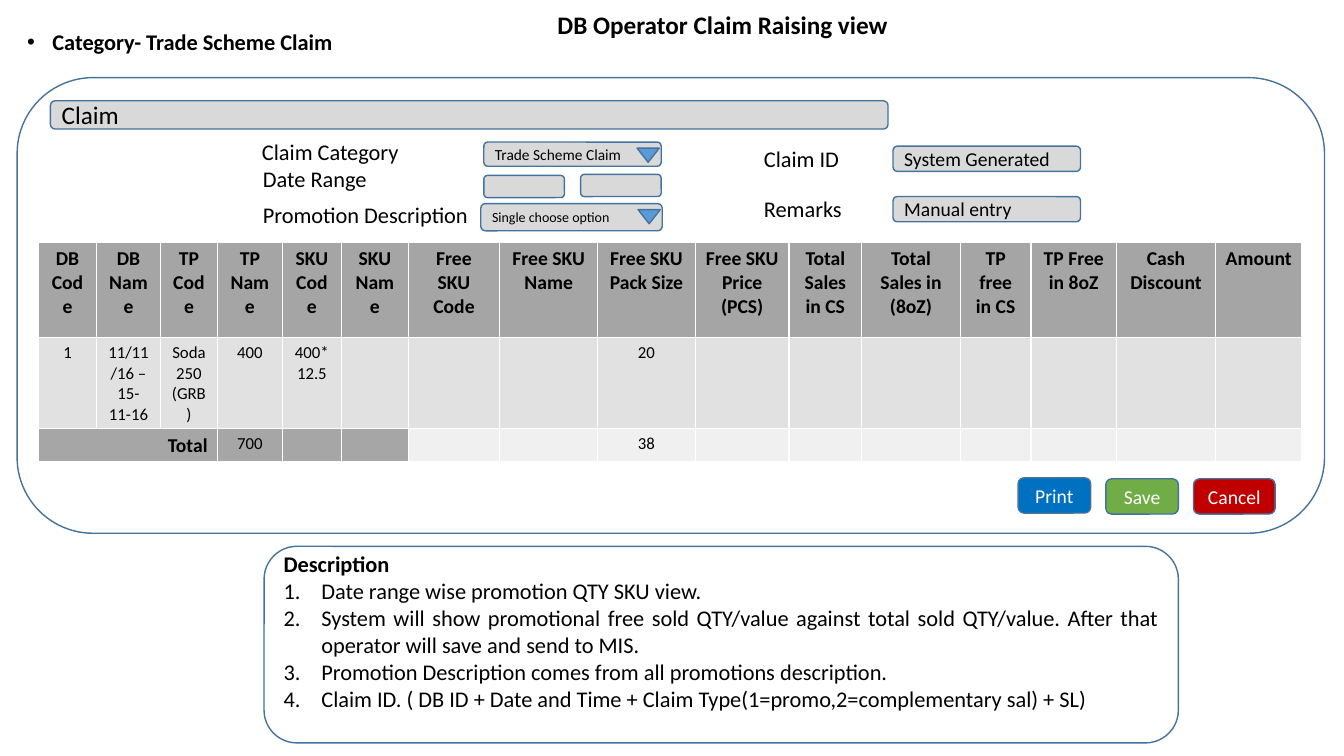
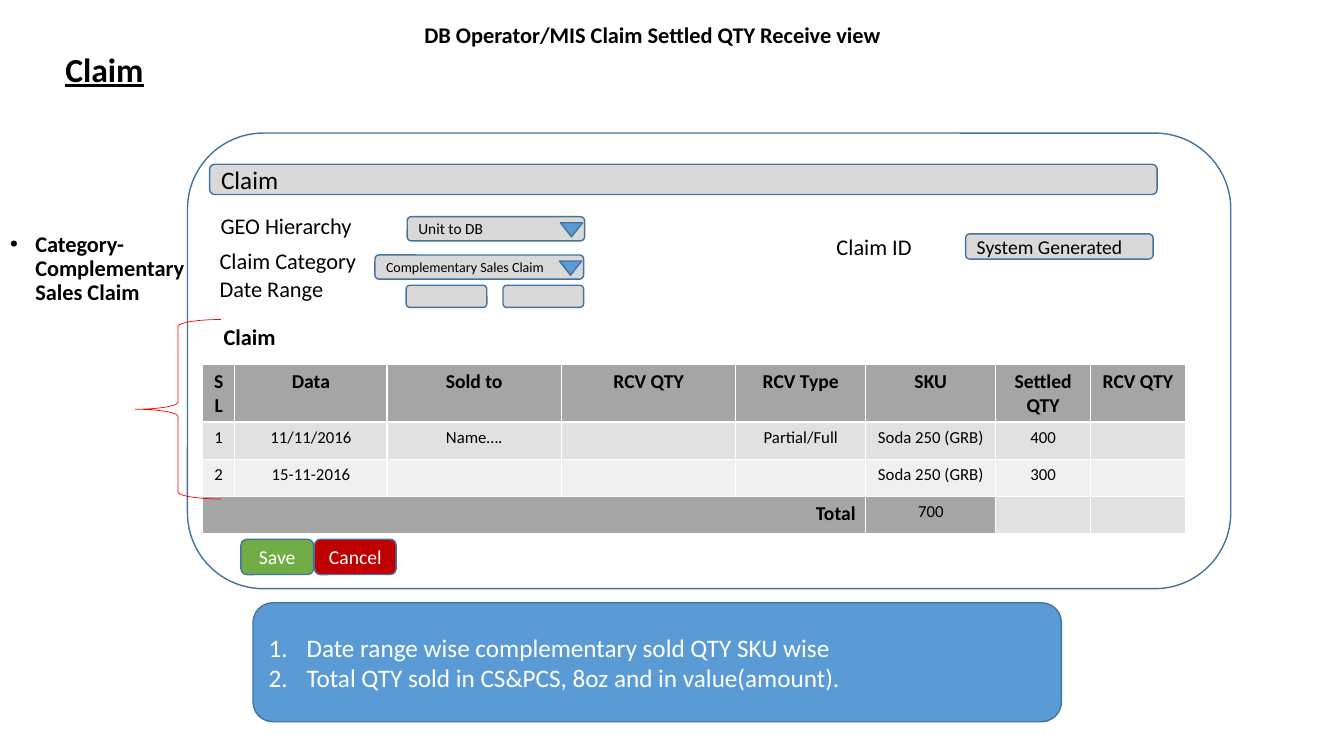
from dataclasses import dataclass
from typing import NamedTuple, Optional

from lxml.etree import SubElement
from pptx import Presentation
from pptx.dml.color import RGBColor
from pptx.enum.shapes import MSO_SHAPE
from pptx.enum.text import MSO_ANCHOR, MSO_AUTO_SIZE, PP_ALIGN
from pptx.oxml.ns import qn
from pptx.util import Emu, Inches, Pt

COLORS = {
    "outline": "43739E", "accent": "5B9BD5", "field": "D9D9D9", "brace": "FF0000",
    "header": "A5A5A5", "total": "A6A6A6", "dark_band": "E1E1E1", "light_band": "F0F0F0",
    "black": "000000", "white": "FFFFFF",
    "Print": "0070C0", "Save": "70AD47", "Cancel": "C00000",
}
FONT = "Calibri"
GRID = Inches(0.1)
COLUMNS, ROWS = 133.33, 75
LINE_SPACING = 0.9
BULLET_INDENT, NUMBER_INDENT = 2.5, 3.75
ARROW_WIDTH, ARROW_HEIGHT = 2.2, 1.4
ARROW_INSET, ARROW_DROP = 2.4, 0.6


class Box(NamedTuple):
    left: float
    top: float
    width: float
    height: float


@dataclass
class Label:
    text: str
    left: float
    top: float
    size: int = 16
    bold: bool = False
    underline: bool = False


@dataclass
class Field:
    text: str
    box: Box
    size: int = 14
    dropdown: bool = False


@dataclass
class Button:
    text: str
    box: Box


@dataclass
class Grid:
    left: float
    top: float
    columns: list[float]
    rows: list[float]
    cells: list[list[str]]
    total_span: int
    total_shaded: int


@dataclass
class Note:
    box: Box
    fill: str
    color: str
    size: int
    items: list[str]
    heading: Optional[str] = None
    bottom_margin: float = 0.5


@dataclass
class Screen:
    title: str
    title_box: Box
    title_size: int
    category: str
    category_box: Box
    panel: Box
    labels: list[Label]
    fields: list[Field]
    buttons: list[Button]
    grid: Grid
    note: Note
    brace: Optional[Box] = None


def units(*lengths: float) -> list[Emu]:
    return [Emu(round(length * GRID)) for length in lengths]


def rgb(name: str) -> RGBColor:
    return RGBColor.from_string(COLORS[name])


def style(paragraph, size: int, color: str = "black", bold: bool = False,
          underline: bool = False, align=PP_ALIGN.LEFT) -> None:
    paragraph.alignment = align
    for run in paragraph.runs:
        font = run.font
        font.name, font.size, font.bold, font.underline = FONT, Pt(size), bold, underline
        font.color.rgb = rgb(color)


def add_marker(paragraph, tag: str, indent: float, **attributes: str) -> None:
    properties = paragraph._p.get_or_add_pPr()
    width = units(indent)[0]
    properties.set("marL", str(width))
    properties.set("indent", str(-width))
    SubElement(properties, qn(tag), **attributes)


def add_box(slide, kind, box: Box, fill: Optional[str] = None,
            line: str = "outline", line_width: float = 1):
    shape = slide.shapes.add_shape(kind, *units(*box))
    shape.shadow.inherit = False
    if fill:
        shape.fill.solid()
        shape.fill.fore_color.rgb = rgb(fill)
    else:
        shape.fill.background()
    shape.line.color.rgb = rgb(line)
    shape.line.width = Pt(line_width)
    shape.text_frame.vertical_anchor = MSO_ANCHOR.MIDDLE
    return shape


def fill_placeholder(placeholder, text: str, box: Box, size: int):
    placeholder.left, placeholder.top, placeholder.width, placeholder.height = units(*box)
    frame = placeholder.text_frame
    frame.text = text
    frame.word_wrap = True
    frame.auto_size = MSO_AUTO_SIZE.NONE
    frame.vertical_anchor = MSO_ANCHOR.TOP
    paragraph = frame.paragraphs[0]
    paragraph.line_spacing = LINE_SPACING
    paragraph.space_before = Pt(0)
    style(paragraph, size, bold=True)
    return paragraph


def add_label(slide, label: Label) -> None:
    text_box = slide.shapes.add_textbox(*units(label.left, label.top, 24.2, 2.8))
    frame = text_box.text_frame
    frame.word_wrap = True
    frame.text = label.text
    frame.paragraphs[0].line_spacing = LINE_SPACING
    style(frame.paragraphs[0], label.size, bold=label.bold, underline=label.underline)


def add_field(slide, field: Field) -> None:
    shape = add_box(slide, MSO_SHAPE.ROUNDED_RECTANGLE, field.box, "field")
    if field.text:
        shape.text_frame.text = field.text
        style(shape.text_frame.paragraphs[0], field.size)
    if field.dropdown:
        left = field.box.left + field.box.width - ARROW_INSET
        arrow = Box(left, field.box.top + ARROW_DROP, ARROW_WIDTH, ARROW_HEIGHT)
        add_box(slide, MSO_SHAPE.FLOWCHART_MERGE, arrow, "accent")


def add_button(slide, button: Button) -> None:
    shape = add_box(slide, MSO_SHAPE.ROUNDED_RECTANGLE, button.box, button.text)
    shape.text_frame.text = button.text
    style(shape.text_frame.paragraphs[0], 14, "white", align=PP_ALIGN.CENTER)


def cell_fill(grid: Grid, row: int, column: int) -> str:
    if row == 0:
        return "header"
    if row == len(grid.rows) - 1 and column < grid.total_shaded:
        return "total"
    return "dark_band" if row % 2 else "light_band"


def add_grid(slide, grid: Grid) -> None:
    size = units(grid.left, grid.top, sum(grid.columns), sum(grid.rows))
    table = slide.shapes.add_table(len(grid.rows), len(grid.columns), *size).table
    for column, width in zip(table.columns, units(*grid.columns)):
        column.width = width
    for row, height in zip(table.rows, units(*grid.rows)):
        row.height = height
    last = len(grid.rows) - 1
    table.cell(last, 0).merge(table.cell(last, grid.total_span - 1))
    for row, texts in enumerate(grid.cells):
        for column, text in enumerate(texts):
            cell = table.cell(row, column)
            cell.fill.solid()
            cell.fill.fore_color.rgb = rgb(cell_fill(grid, row, column))
            paragraph = cell.text_frame.paragraphs[0]
            if not text:
                SubElement(paragraph._p, qn("a:endParaRPr"), sz="1200")
                continue
            paragraph.text = text
            strong = row == 0 or text == "Total"
            align = PP_ALIGN.RIGHT if text == "Total" else PP_ALIGN.CENTER
            style(paragraph, 14 if strong else 12, bold=strong, align=align)


def add_note(slide, note: Note) -> None:
    shape = add_box(slide, MSO_SHAPE.ROUNDED_RECTANGLE, note.box, note.fill)
    frame = shape.text_frame
    frame.margin_bottom = units(note.bottom_margin)[0]
    frame.text = "\n".join(([note.heading] if note.heading else []) + note.items)
    for paragraph in frame.paragraphs:
        if paragraph.text == note.heading:
            style(paragraph, note.size, note.color, bold=True)
        else:
            align = PP_ALIGN.JUSTIFY if note.heading else PP_ALIGN.LEFT
            style(paragraph, note.size, note.color, align=align)
            add_marker(paragraph, "a:buAutoNum", NUMBER_INDENT, type="arabicPeriod")


def add_screen(presentation, screen: Screen) -> None:
    slide = presentation.slides.add_slide(presentation.slide_layouts[1])
    title, body = slide.placeholders
    fill_placeholder(title, screen.title, screen.title_box, screen.title_size)
    category = fill_placeholder(body, screen.category, screen.category_box, 16)
    add_marker(category, "a:buChar", BULLET_INDENT, char="•")
    add_box(slide, MSO_SHAPE.ROUNDED_RECTANGLE, screen.panel)
    for label in screen.labels:
        add_label(slide, label)
    for field in screen.fields:
        add_field(slide, field)
    add_grid(slide, screen.grid)
    for button in screen.buttons:
        add_button(slide, button)
    if screen.brace:
        add_box(slide, MSO_SHAPE.LEFT_BRACE, screen.brace, line="brace", line_width=0.5)
    add_note(slide, screen.note)


RAISING = Screen(
    "DB Operator Claim Raising view", Box(54.3, 0.8, 37, 7), 18,
    "Category- Trade Scheme Claim", Box(1.7, 2.6, 36.2, 3.8),
    Box(1.7, 7.7, 129.7, 45.2),
    [Label("Claim Category", 25, 13.5), Label("Date Range", 25.1, 16.2),
     Label("Promotion Description", 25.1, 19.8),
     Label("Claim ID", 74.8, 14.2), Label("Remarks", 74.8, 19.2)],
    [Field("Claim", Box(5, 10, 83.1, 2.8), 18),
     Field("Trade Scheme Claim", Box(48, 14.1, 17.6, 2.4), 11, True),
     Field("", Box(48, 17.4, 8, 2.2)), Field("", Box(57.6, 17.3, 8, 2.2)),
     Field("Single choose option", Box(47.7, 20.2, 18, 2.7), 10, True),
     Field("System Generated", Box(88.6, 14.5, 18.6, 2.5)),
     Field("Manual entry", Box(88.6, 19.5, 18.6, 2.5))],
    [Button("Print", Box(101, 47.4, 7.2, 3.5)), Button("Save", Box(109.7, 47.5, 7.2, 3.5)),
     Button("Cancel", Box(118.4, 47.5, 8.1, 3.5))],
    Grid(3.8, 24,
         [5.8, 6.3, 5.7, 6.4, 5.9, 6.6, 9.1, 9.7, 9.7, 9.3, 7.2, 9.8, 7, 8.5, 9.8, 8.6],
         [9.5, 6.1, 2.3],
         [["DB Code", "DB Name", "TP Code", "TP Name", "SKU Code", "SKU Name",
           "Free SKU Code", "Free SKU Name", "Free SKU Pack Size", "Free SKU Price (PCS)",
           "Total Sales in CS", "Total Sales in (8oZ)", "TP free in CS", "TP Free in 8oZ",
           "Cash Discount", "Amount"],
          ["1", "11/11/16 – 15-11-16", "Soda 250 (GRB)", "400", "400*12.5",
           *[""] * 3, "20", *[""] * 7],
          ["Total", "", "", "700", *[""] * 4, "38", *[""] * 7]],
         total_span=3, total_shaded=6),
    Note(Box(26.2, 54.2, 90.7, 19.5), "white", "black", 16,
         ["Date range wise promotion QTY SKU view.",
          "System will show promotional free sold QTY/value against total sold QTY/value. "
          "After that operator will save and send to MIS.",
          "Promotion Description comes from all promotions description.",
          "Claim ID. ( DB ID + Date and Time + Claim Type(1=promo,2=complementary sal) + SL)"],
         heading="Description", bottom_margin=3.2),
)

RECEIVING = Screen(
    "DB Operator/MIS Claim Settled QTY Receive view", Box(41.1, 1.9, 48.2, 7), 16,
    "Category- Complementary Sales Claim", Box(0, 22.6, 20.9, 12.1),
    Box(18.6, 13.2, 103.5, 45.2),
    [Label("Claim", 5.5, 4.8, 24, True, True), Label("GEO Hierarchy", 20.9, 20.9),
     Label("Claim Category", 20.8, 24.3), Label("Date Range", 20.8, 27.1),
     Label("Claim", 21.2, 31.9, bold=True), Label("Claim ID", 82, 22.9)],
    [Field("Claim", Box(20.8, 16.3, 94, 3), 18),
     Field("Unit to DB", Box(40.4, 21.5, 17.6, 2.4), 11, True),
     Field("Complementary Sales Claim", Box(37.2, 25.3, 20.7, 2.4), 10, True),
     Field("", Box(40.3, 28.3, 8, 2.2)), Field("", Box(49.9, 28.3, 8, 2.2)),
     Field("System Generated", Box(95.8, 23.2, 18.6, 2.5))],
    [Button("Save", Box(23.9, 53.5, 7.2, 3.5)), Button("Cancel", Box(31.2, 53.5, 8.1, 3.5))],
    Grid(20.1, 36.2, [3.2, 15.1, 17.3, 17.3, 12.9, 12.9, 9.4, 9.4], [5.2, 3.7, 3.7, 3.7],
         [["SL", "Data", "Sold to", "RCV QTY", "RCV Type", "SKU", "Settled QTY", "RCV QTY"],
          ["1", "11/11/2016", "Name….", "", "Partial/Full", "Soda 250 (GRB)", "400", ""],
          ["2", "15-11-2016", "", "", "", "Soda 250 (GRB)", "300", ""],
          ["Total", *[""] * 4, "700", "", ""]],
         total_span=5, total_shaded=6),
    Note(Box(25.1, 59.8, 80.2, 11.8), "accent", "white", 18,
         ["Date range wise complementary sold QTY SKU wise",
          "Total QTY sold in CS&PCS, 8oz and in value(amount)."]),
    brace=Box(13.4, 31.7, 8.5, 17.8),
)


def main() -> None:
    presentation = Presentation()
    presentation.slide_width, presentation.slide_height = units(COLUMNS, ROWS)
    for screen in (RAISING, RECEIVING):
        add_screen(presentation, screen)
    presentation.save("out.pptx")


if __name__ == "__main__":
    main()
